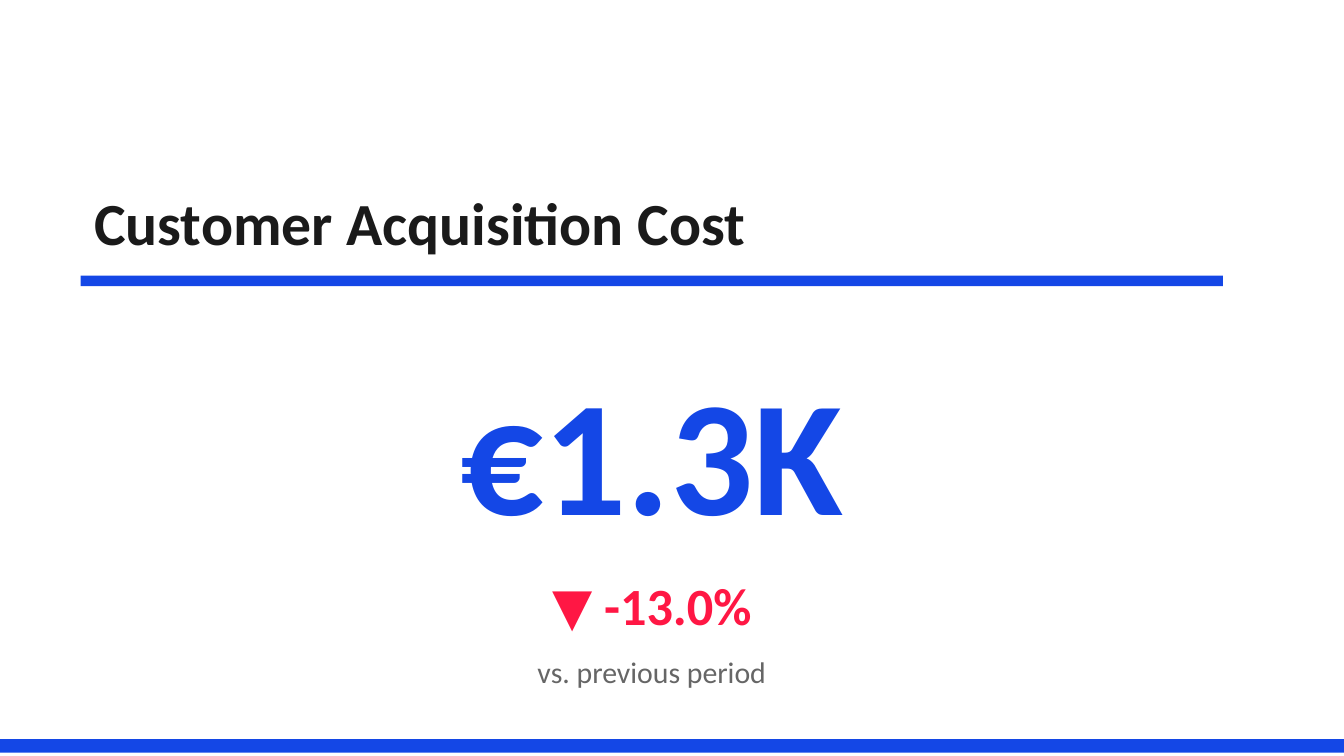
from pptx import Presentation
from pptx.dml.color import RGBColor
from pptx.enum.shapes import MSO_SHAPE
from pptx.enum.text import MSO_ANCHOR, MSO_AUTO_SIZE, PP_ALIGN
from pptx.util import Pt

PX = 4572
WIDTH, HEIGHT = 2000, 1125
LEFT, CONTENT_WIDTH = 120, 1700
COLORS = {"ink": "1A1A1A", "accent": "1447E6", "negative": "FF1744", "muted": "666666"}


def emu(*lengths):
    """Turn px lengths into EMU."""
    return [n * PX for n in lengths]


def rgb(name):
    """Look up a named colour."""
    return RGBColor.from_string(COLORS[name])


def write(sp, text, size, color, bold=True, align=PP_ALIGN.CENTER):
    """Fill a shape with one line of formatted text."""
    tf = sp.text_frame
    frame_format = {"word_wrap": True, "auto_size": MSO_AUTO_SIZE.NONE,
                    "vertical_anchor": MSO_ANCHOR.MIDDLE}
    for name, value in frame_format.items():
        setattr(tf, name, value)
    p = tf.paragraphs[0]
    p.alignment = align
    r = p.add_run()
    r.text = text
    for name, value in {"name": "Calibri", "size": Pt(size), "bold": bold}.items():
        setattr(r.font, name, value)
    r.font.color.rgb = rgb(color)


def add_title(s, text, top, height):
    """Place and format the title placeholder."""
    sp = s.shapes.title
    sp.left, sp.top, sp.width, sp.height = emu(LEFT, top, CONTENT_WIDTH, height)
    write(sp, text, 32, "ink", align=PP_ALIGN.LEFT)


def add_text(s, text, top, height, size, color, bold=True):
    """Add a centred line of text across the content column."""
    sp = s.shapes.add_textbox(*emu(LEFT, top, CONTENT_WIDTH, height))
    write(sp, text, size, color, bold)


def add_bar(s, left, top, width, height):
    """Add a solid accent bar."""
    sp = s.shapes.add_shape(MSO_SHAPE.RECTANGLE, *emu(left, top, width, height))
    sp.shadow.inherit = False
    sp.fill.solid()
    sp.fill.fore_color.rgb = rgb("accent")
    sp.line.fill.background()


def main():
    """Build the metric slide."""
    prs = Presentation()
    prs.slide_width, prs.slide_height = emu(WIDTH, HEIGHT)
    s = prs.slides.add_slide(prs.slide_layouts[5])
    add_title(s, "Customer Acquisition Cost", 260, 140)
    add_bar(s, LEFT, 410, CONTENT_WIDTH, 16)
    add_text(s, "€1.3K", 520, 300, 88, "accent")
    add_text(s, "▼ -13.0%", 840, 120, 28, "negative")
    add_text(s, "vs. previous period", 960, 80, 16, "muted", bold=False)
    add_bar(s, 0, 1100, WIDTH, 20)
    prs.save("out.pptx")


if __name__ == "__main__":
    main()
